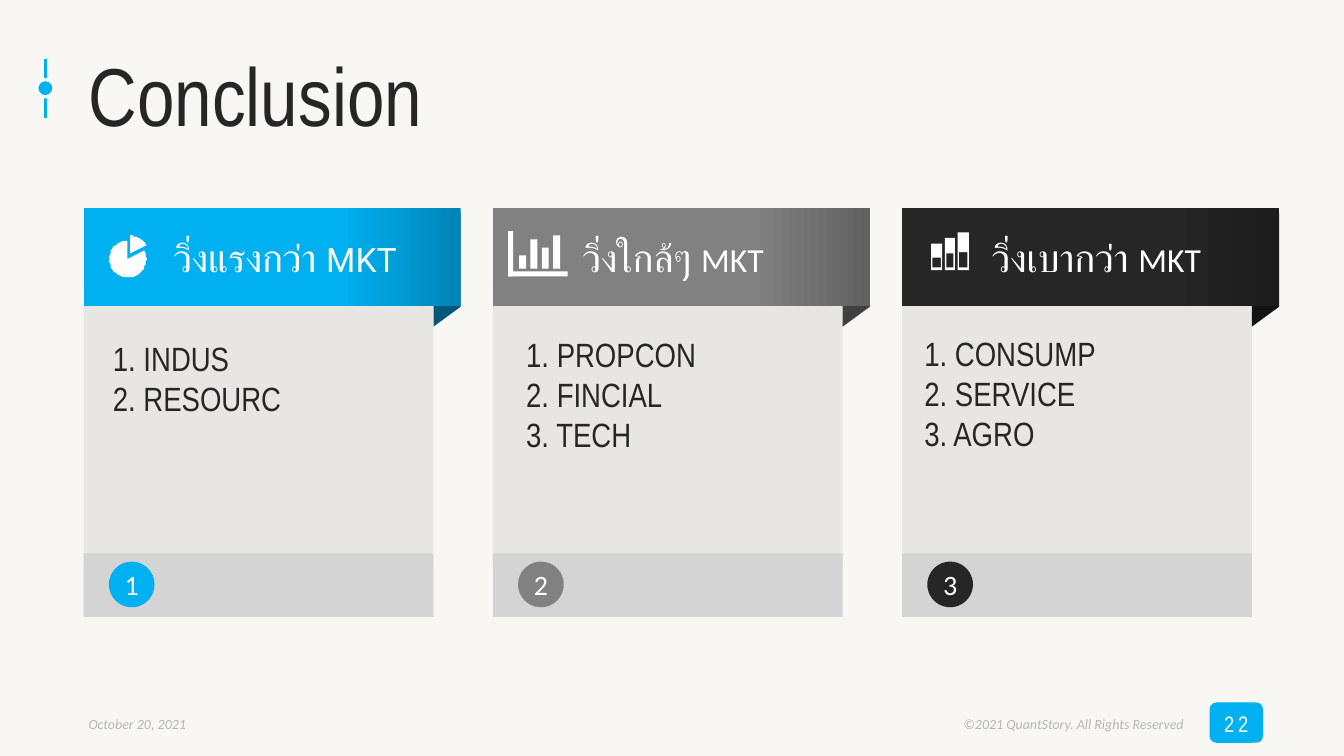
from math import cos, radians, sin

from lxml.etree import SubElement
from pptx import Presentation
from pptx.dml.color import RGBColor
from pptx.enum.shapes import MSO_CONNECTOR as Connector, MSO_SHAPE as Shape
from pptx.enum.text import MSO_ANCHOR as Anchor, MSO_AUTO_SIZE as AutoSize, PP_ALIGN as Align
from pptx.oxml.ns import qn
from pptx.util import Pt

BLUE, GREY, DARK, WHITE = "00B0F0", "818181", "262626", "FFFFFF"
PALE, FOOTER_TEXT = "D4D4D4", "B6B6B6"
NARROW, CALIBRI, ROBOTO = "Arial Narrow", "Calibri", "Roboto"

# Column grid
LEFT, STEP = 59.8, 292.3
PANEL_WIDTH, RIBBON_WIDTH = 249.8, 269.3
RIBBON_TOP, RIBBON_HEIGHT = 148.3, 70.6
PANEL_TOP, PANEL_HEIGHT = 205.2, 199.4
BASE_TOP, BASE_HEIGHT = 395.3, 45.4

COLUMNS = [
    dict(color=BLUE, shade="0084B4", fold="005878",
         heading=[("วิ่งแรงกว่า ", 28, ROBOTO), ("MKT", 24, ROBOTO)],
         items=["1. INDUS", "2. RESOURC"], list_box=(73.4, 241.2, 233.3, 62)),
    dict(color=GREY, shade="616161", fold="404040",
         heading=[("วิ่งใกล้ๆ ", 28, ROBOTO), ("MKT", 24, CALIBRI)],
         items=["1. PROPCON", "2. FINCIAL", "3. TECH"], list_box=(368.6, 238.3, 233.3, 91)),
    dict(color=DARK, shade="1C1C1C", fold="131313",
         heading=[("วิ่งเบากว่า ", 28, CALIBRI), ("MKT", 24, CALIBRI)],
         items=["1. CONSUMP", "2. SERVICE", "3. AGRO"], list_box=(653, 237.6, 233.3, 120)),
]


def rgb(value):
    return RGBColor.from_string(value)


def set_values(target, values):
    for name, value in values.items():
        setattr(target, name, value)


def place(shape, box):
    set_values(shape, dict(zip(("left", "top", "width", "height"), map(Pt, box))))


def paint(shape, fill):
    shape.shadow.inherit = False
    shape.fill.solid()
    shape.fill.fore_color.rgb = rgb(fill)
    shape.line.fill.background()
    return shape


def add_block(shapes, kind, box, fill):
    return paint(shapes.add_shape(kind, *map(Pt, box)), fill)


def set_frame(shape, insets=(7.2, 3.6, 7.2, 3.6), anchor=Anchor.MIDDLE):
    frame = shape.text_frame
    names = ("margin_left", "margin_top", "margin_right", "margin_bottom")
    set_values(frame, dict(zip(names, map(Pt, insets)), word_wrap=True,
                           auto_size=AutoSize.NONE, vertical_anchor=anchor))
    return frame


def add_run(paragraph, text, size, font, color, **extra):
    run = paragraph.add_run()
    run.text = text
    set_values(run.font, dict(size=Pt(size), name=font, **extra))
    run.font.color.rgb = rgb(color)
    return run


def write_line(frame, align, *run_values, **extra):
    paragraph = frame.paragraphs[0]
    paragraph.alignment = align
    return add_run(paragraph, *run_values, **extra)


def write_list(placeholder, box, items):
    place(placeholder, box)
    frame = set_frame(placeholder, (7.2, 0, 7.2, 3.6), Anchor.TOP)
    for index, item in enumerate(items):
        paragraph = frame.add_paragraph() if index else frame.paragraphs[0]
        properties = paragraph._p.get_or_add_pPr()
        properties.set("marL", "0")
        properties.set("indent", "0")
        SubElement(properties, qn("a:buNone"))
        set_values(paragraph, dict(space_before=Pt(0), alignment=Align.LEFT))
        add_run(paragraph, item, 24, NARROW, DARK, bold=False)


def add_caption(slide, box, text, align):
    caption = slide.shapes.add_textbox(*map(Pt, box))
    write_line(set_frame(caption, anchor=Anchor.TOP), align,
               text, 10, CALIBRI, FOOTER_TEXT, italic=True)


def add_outline(slide, contours, fill):
    start, *rest = contours[0]
    builder = slide.shapes.build_freeform(*start, scale=float(Pt(1)))
    builder.add_line_segments(rest, close=True)
    for start, *rest in contours[1:]:
        builder.move_to(*start)
        builder.add_line_segments(rest, close=True)
    return paint(builder.convert_to_shape(), fill)


def wedge(x, y, radius, first, last):
    angles = [radians(first + (last - first) * step / 36) for step in range(37)]
    return [(x, y)] + [(x + radius * cos(a), y + radius * sin(a)) for a in angles]


def rectangle(left, top, right, bottom):
    return [(left, top), (right, top), (right, bottom), (left, bottom)]


def add_marker(slide):
    group = slide.shapes.add_group_shape()
    line = group.shapes.add_connector(Connector.STRAIGHT, Pt(32.4), Pt(42), Pt(32.4), Pt(84.2))
    SubElement(line._element.spPr, qn("a:effectLst"))
    dot = add_block(group.shapes, Shape.OVAL, (26.2, 56.8, 12.4, 12.4), BLUE)
    for shape, color in ((line, BLUE), (dot, WHITE)):
        shape.line.color.rgb = rgb(color)
        shape.line.width = Pt(2.25)


def add_column(slide, number, column):
    shapes = slide.shapes
    left = LEFT + STEP * (number - 1)

    # Translucent panel
    panel = add_block(shapes, Shape.RECTANGLE, (left, PANEL_TOP, PANEL_WIDTH, PANEL_HEIGHT), "A6A6A6")
    color = panel._element.spPr.find(".//" + qn("a:srgbClr"))
    SubElement(color, qn("a:alpha"), val="20000")

    # Folded ribbon end
    fold_box = (left + 218.9, 182.9, 81.4, 19.4)
    fold = add_block(shapes, Shape.PARALLELOGRAM, fold_box, column["fold"])
    fold.adjustments[0] = 0.731
    fold.rotation = 90
    fold._element.spPr.find(qn("a:xfrm")).set("flipV", "1")

    # Ribbon with heading
    ribbon_box = (left, RIBBON_TOP, RIBBON_WIDTH, RIBBON_HEIGHT)
    ribbon = add_block(shapes, Shape.RECTANGLE, ribbon_box, column["color"])
    ribbon.fill.gradient()
    ribbon.fill.gradient_angle = 180
    stops = ((0, column["shade"]), (0.31, column["color"]))
    for stop, (position, shade) in zip(ribbon.fill.gradient_stops, stops):
        stop.position = position
        stop.color.rgb = rgb(shade)
    frame = set_frame(ribbon, (64, 3.6, 7.2, 3.6))
    for text, size, font in column["heading"]:
        write_line(frame, Align.LEFT, text, size, font, WHITE)

    # Base strip and number
    add_block(shapes, Shape.RECTANGLE, (left, BASE_TOP, PANEL_WIDTH, BASE_HEIGHT), PALE)
    badge = add_block(shapes, Shape.OVAL, (left + 18, 401.2, 32.6, 32.6), column["color"])
    write_line(set_frame(badge, (0, 0, 0, 0)), Align.CENTER, str(number), 20, CALIBRI, WHITE)


def add_icons(slide):
    # Pie
    add_outline(slide, [wedge(91.3, 185, 13.3, -25, 270), wedge(93.1, 181.4, 13, -90, -27)], WHITE)

    # Column chart
    group = slide.shapes.add_group_shape()
    bars = [(370.8 + 8.1 * index, 191.9 - height, 5, height)
            for index, height in enumerate((9.4, 20.9, 15.1, 23.8))]
    axes = [(363, 193.9, 42.5, 3.6), (363, 165, 3.6, 32.5)]
    for box in bars + axes:
        add_block(group.shapes, Shape.RECTANGLE, box, WHITE)

    # Stacked levels
    contours = []
    for index, (top, level) in enumerate(((174.2, 183.6), (170.2, 181.4), (166.5, 180))):
        left = 665.3 + 9.5 * index
        contours.append(rectangle(left, top, left + 7.4, 192.9))
        contours.append(rectangle(left + 1, level, left + 6.4, 190.8)[::-1])
    add_outline(slide, contours, WHITE)


def main():
    presentation = Presentation()
    set_values(presentation, dict(slide_width=Pt(960), slide_height=Pt(540)))
    slide = presentation.slides.add_slide(presentation.slide_layouts.get_by_name("Comparison"))
    slide.background.fill.solid()
    slide.background.fill.fore_color.rgb = rgb("F8F7F3")

    # Columns below their lists
    add_marker(slide)
    title, *bodies = slide.placeholders
    for number, (column, body) in enumerate(zip(COLUMNS, bodies), 1):
        add_column(slide, number, column)
        write_list(body, column["list_box"], column["items"])
        slide.shapes._spTree.append(body._element)
    spare = bodies[-1]._element
    spare.getparent().remove(spare)
    add_icons(slide)

    # Title
    place(title, (56.2, 21.6, 856, 90))
    write_line(set_frame(title), Align.LEFT, "Conclusion", 58.7, NARROW, DARK)

    # Footer
    add_caption(slide, (56.2, 507.6, 224, 19.4), "October 20, 2021", Align.LEFT)
    add_caption(slide, (436.3, 507.6, 416.2, 19.4),
                "©2021 QuantStory. All Rights Reserved", Align.RIGHT)
    page = add_block(slide.shapes, Shape.ROUNDED_RECTANGLE, (864, 501.8, 38.2, 28.8), BLUE)
    run = write_line(set_frame(page, (0, 1.4, 0, 0)), Align.CENTER, "22", 16, NARROW, WHITE)
    run.font._element.set("spc", "270")

    presentation.save("out.pptx")


if __name__ == "__main__":
    main()
